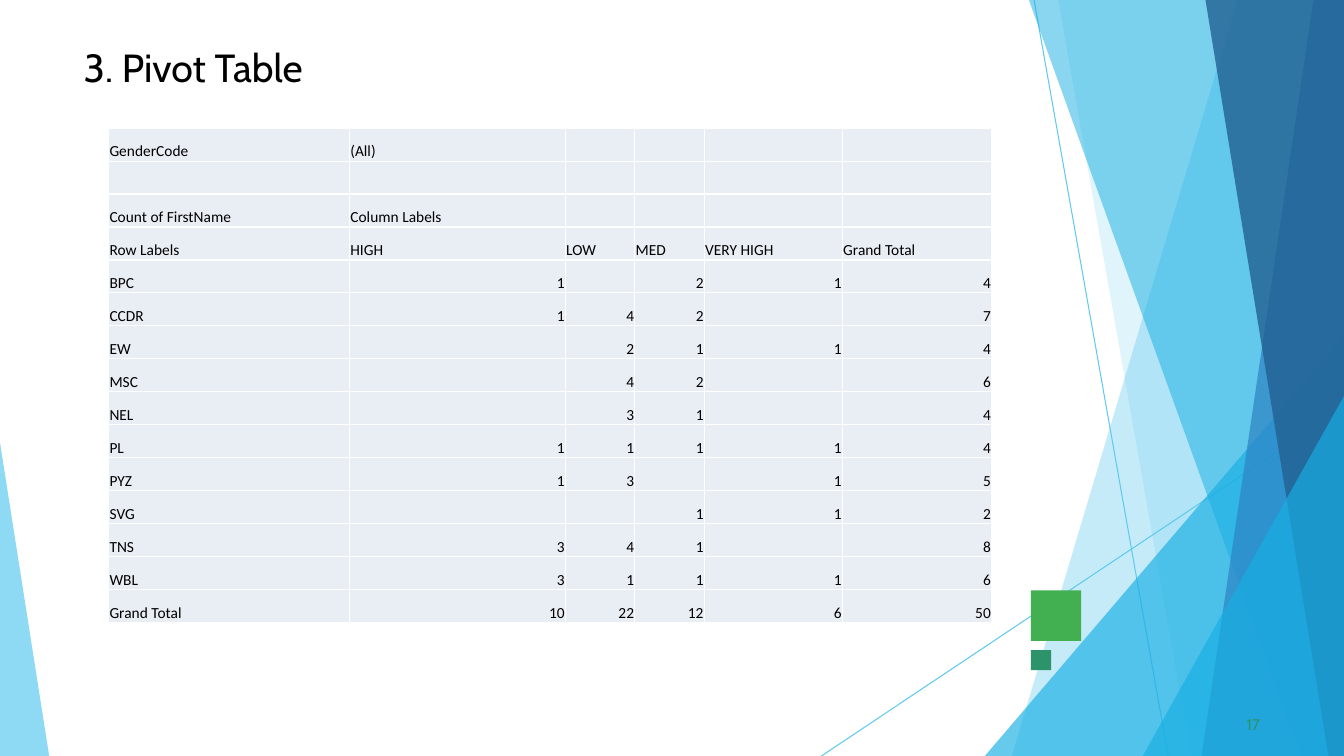
from lxml import etree
from pptx import Presentation
from pptx import util as u
from pptx.dml.color import RGBColor
from pptx.enum import shapes, text
from pptx.oxml import ns

WIDTH, HEIGHT = 33.87, 19.05

COLORS = {
    "sky": "5FCAEE",
    "cyan": "17AFE3",
    "blue": "2D83C3",
    "navy": "226192",
    "green": "42AF51",
    "teal": "2D936B",
    "cell": "E9EDF4",
    "border": "FFFFFF",
    "text": "000000",
}

LINES = [
    (26.06, 0, 29.44, HEIGHT),
    (WIDTH, 10.26, 20.7, HEIGHT),
]

RIGHT_FACETS = [
    ([(WIDTH, 0), (31.19, 0), (25.5, HEIGHT)], "sky", 36),
    ([(WIDTH, 0), (26.67, 0), (30.02, HEIGHT)], "sky", 20),
    ([(WIDTH, 8.46), (24.82, HEIGHT)], "cyan", 66),
    ([(WIDTH, 0), (25.93, 0), (32.79, HEIGHT)], "cyan", 50),
    ([(WIDTH, 0), (33.1, 0), (30.28, HEIGHT)], "blue", 70),
    ([(WIDTH, 0), (30.38, 0), (33.48, HEIGHT)], "navy", 80),
    ([(WIDTH, 9.98), (28.8, HEIGHT)], "cyan", 66),
]

COLUMN_WIDTHS = [6.07, 5.44, 1.75, 1.75, 3.48, 3.76]
ROW_HEIGHT = 0.83

PIVOT_ROWS = [
    ["GenderCode", "(All)", "", "", "", ""],
    ["", "", "", "", "", ""],
    ["Count of FirstName", "Column Labels", "", "", "", ""],
    ["Row Labels", "HIGH", "LOW", "MED", "VERY HIGH", "Grand Total"],
    ["BPC", "1", "", "2", "1", "4"],
    ["CCDR", "1", "4", "2", "", "7"],
    ["EW", "", "2", "1", "1", "4"],
    ["MSC", "", "4", "2", "", "6"],
    ["NEL", "", "3", "1", "", "4"],
    ["PL", "1", "1", "1", "1", "4"],
    ["PYZ", "1", "3", "", "1", "5"],
    ["SVG", "", "", "1", "1", "2"],
    ["TNS", "3", "4", "1", "", "8"],
    ["WBL", "3", "1", "1", "1", "6"],
    ["Grand Total", "10", "22", "12", "6", "50"],
]


class SlideBuilder:
    def __init__(self, slide, heading_font="Cabin", table_font="Calibri"):
        self.slide = slide
        self.heading_font = heading_font
        self.table_font = table_font

    def color(self, name):
        return RGBColor.from_string(COLORS[name])

    def format_paragraph(self, paragraph, font_name, size, color):
        paragraph.font.name = font_name
        paragraph.font.size = u.Pt(size)
        paragraph.font.color.rgb = self.color(color)

    def paint(self, shape, color, opacity=100):
        shape.shadow.inherit = False
        shape.fill.solid()
        shape.fill.fore_color.rgb = self.color(color)
        shape.line.fill.background()
        if opacity < 100:
            fill_color = shape.element.spPr.find(f".//{ns.qn('a:srgbClr')}")
            alpha = etree.SubElement(fill_color, ns.qn("a:alpha"))
            alpha.set("val", str(opacity * 1000))

    def line(self, x1, y1, x2, y2):
        connector = self.slide.shapes.add_connector(
            shapes.MSO_CONNECTOR.STRAIGHT, u.Cm(x1), u.Cm(y1), u.Cm(x2), u.Cm(y2)
        )
        connector.line.color.rgb = self.color("sky")
        connector.line.width = u.Pt(0.75)
        etree.SubElement(connector.element.spPr, ns.qn("a:effectLst"))

    def facet(self, points, color, opacity):
        corners = [(u.Cm(x), u.Cm(y)) for x, y in points]
        builder = self.slide.shapes.build_freeform(*corners[0])
        builder.add_line_segments(corners[1:], close=True)
        self.paint(builder.convert_to_shape(), color, opacity)

    def square(self, left, top, side, color):
        shape = self.slide.shapes.add_shape(
            shapes.MSO_SHAPE.RECTANGLE, u.Cm(left), u.Cm(top), u.Cm(side), u.Cm(side)
        )
        self.paint(shape, color)

    def fill_text(self, shape, words, size, color):
        frame = shape.text_frame
        frame.margin_left = frame.margin_right = frame.margin_bottom = 0
        frame.margin_top = u.Cm(0.03)
        frame.word_wrap = True
        frame.vertical_anchor = text.MSO_ANCHOR.TOP
        frame.text = words
        paragraph = frame.paragraphs[0]
        paragraph.alignment = text.PP_ALIGN.LEFT
        paragraph.space_before = u.Pt(1)
        self.format_paragraph(paragraph, self.heading_font, size, color)

    def title(self, words, left, top, width, height):
        title = self.slide.shapes.title
        title.left, title.top = u.Cm(left), u.Cm(top)
        title.width, title.height = u.Cm(width), u.Cm(height)
        self.fill_text(title, words, 28, "text")

    def page_number(self, words, left, top, width, height):
        box = self.slide.shapes.add_textbox(
            u.Cm(left), u.Cm(top), u.Cm(width), u.Cm(height)
        )
        self.fill_text(box, words, 11, "teal")

    def cell(self, cell, words):
        cell.margin_left = cell.margin_right = cell.margin_top = u.Cm(0.02)
        cell.margin_bottom = 0
        cell.vertical_anchor = text.MSO_ANCHOR.BOTTOM
        cell.text = words
        paragraph = cell.text_frame.paragraphs[0]
        self.format_paragraph(paragraph, self.table_font, 11, "text")
        if words.isdigit():
            paragraph.alignment = text.PP_ALIGN.RIGHT
        properties = cell._tc.get_or_add_tcPr()
        for side in ("lnL", "lnR", "lnT", "lnB"):
            border = etree.SubElement(properties, ns.qn(f"a:{side}"), w=str(u.Pt(1)))
            fill = etree.SubElement(border, ns.qn("a:solidFill"))
            etree.SubElement(fill, ns.qn("a:srgbClr"), val=COLORS["border"])
        cell.fill.solid()
        cell.fill.fore_color.rgb = self.color("cell")

    def table(self, rows, widths, row_height, left, top):
        table = self.slide.shapes.add_table(
            len(rows), len(widths), u.Cm(left), u.Cm(top),
            u.Cm(sum(widths)), u.Cm(row_height * len(rows)),
        ).table
        table.first_row = table.horz_banding = False
        for column, width in zip(table.columns, widths):
            column.width = u.Cm(width)
        for row, values in zip(table.rows, rows):
            row.height = u.Cm(row_height)
            for cell, words in zip(row.cells, values):
                self.cell(cell, words)


def main():
    presentation = Presentation()
    presentation.slide_width = u.Cm(WIDTH)
    presentation.slide_height = u.Cm(HEIGHT)
    slide = presentation.slides.add_slide(presentation.slide_layouts[5])
    builder = SlideBuilder(slide)

    for ends in LINES:
        builder.line(*ends)
    for points, color, opacity in RIGHT_FACETS:
        builder.facet(points + [(WIDTH, HEIGHT)], color, opacity)
    builder.facet([(0, 11.15), (0, HEIGHT), (1.24, HEIGHT)], "sky", 70)
    builder.square(25.98, 14.88, 1.27, "green")
    builder.square(25.98, 16.38, 0.51, "teal")
    builder.page_number("17", 31.42, 17.98, 0.64, 0.53)
    builder.table(PIVOT_ROWS, COLUMN_WIDTHS, ROW_HEIGHT, 2.74, 3.23)
    builder.title("3. Pivot Table", 2.11, 1.07, 15.67, 1.24)

    presentation.save("out.pptx")


if __name__ == "__main__":
    main()
